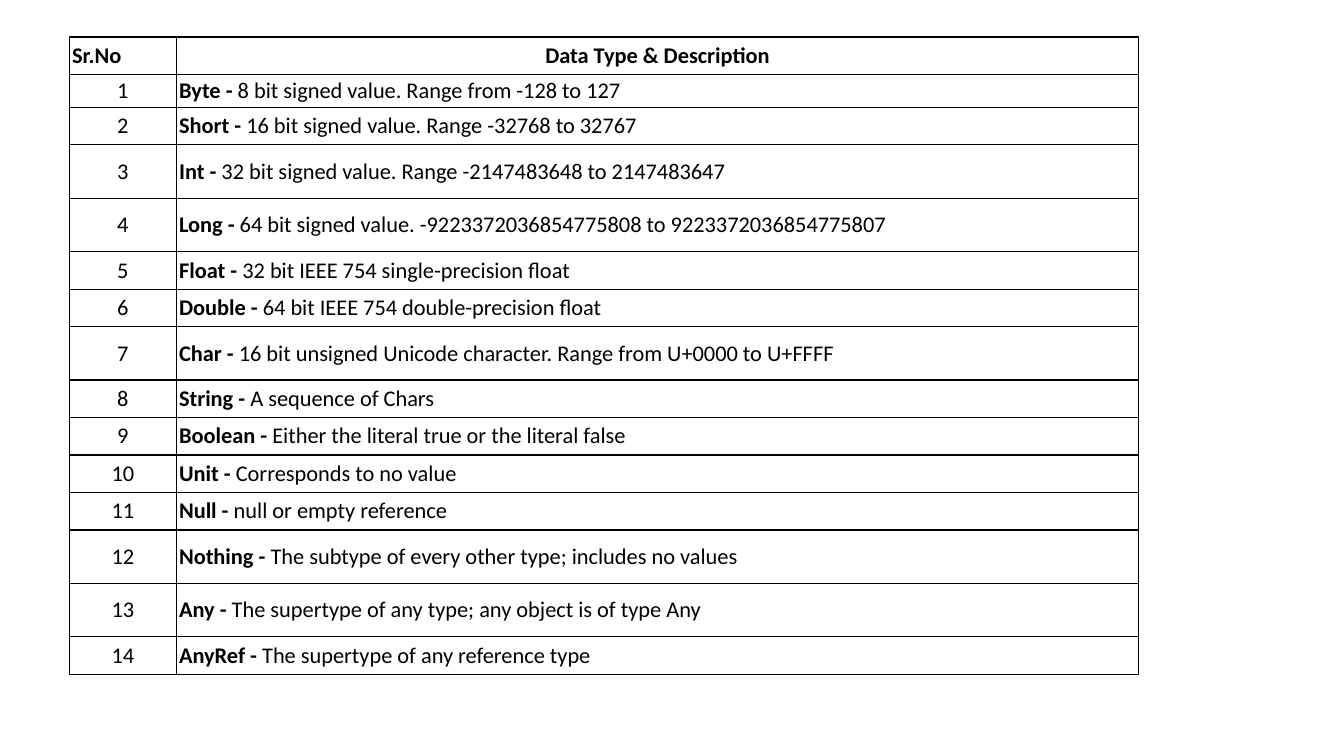
from lxml import etree
from pptx import Presentation, util as u
from pptx.dml.color import RGBColor
from pptx.enum import text
from pptx.oxml.ns import qn

PX = 914400 / 500  # 500 px to the inch
COLORS = {"ink": "000000"}
FONT = "Calibri"
COLS = [530, 4774]
BYTE_ROW, ROW, TALL_ROW = 130, 186, 265
INSET = 14
HEADER = ("Sr.No", "Data Type & Description")
TYPES = [
    ("Byte", "8 bit signed value. Range from -128 to 127", BYTE_ROW),
    ("Short", "16 bit signed value. Range -32768 to 32767", ROW),
    ("Int", "32 bit signed value. Range -2147483648 to 2147483647", TALL_ROW),
    ("Long", "64 bit signed value. -9223372036854775808 to 9223372036854775807", TALL_ROW),
    ("Float", "32 bit IEEE 754 single-precision float", ROW),
    ("Double", "64 bit IEEE 754 double-precision float", ROW),
    ("Char", "16 bit unsigned Unicode character. Range from U+0000 to U+FFFF", TALL_ROW),
    ("String", "A sequence of Chars", ROW),
    ("Boolean", "Either the literal true or the literal false", ROW),
    ("Unit", "Corresponds to no value", ROW),
    ("Null", "null or empty reference", ROW),
    ("Nothing", "The subtype of every other type; includes no values", TALL_ROW),
    ("Any", "The supertype of any type; any object is of type Any", TALL_ROW),
    ("AnyRef", "The supertype of any reference type", ROW),
]


def px(n):
    return u.Emu(round(n * PX))


def add_run(p, words, size=16, bold=False, color="ink"):
    r = p.add_run()
    r.text = words
    r.font.name = FONT
    r.font.size = u.Pt(size)
    r.font.bold = bold
    r.font.color.rgb = RGBColor.from_string(COLORS[color])


def set_borders(cell, width=1, color="ink"):
    tc_pr = cell._tc.get_or_add_tcPr()
    for side in ("lnL", "lnR", "lnT", "lnB"):
        ln = etree.SubElement(tc_pr, qn("a:" + side), w=str(u.Pt(width)))
        fill = etree.SubElement(ln, qn("a:solidFill"))
        etree.SubElement(fill, qn("a:srgbClr"), val=COLORS[color])


def fill_cell(cell, words, lead="", bold=False, centered=False):
    """Write a cell, with an optional bold lead before its words."""
    set_borders(cell)
    cell.fill.background()
    cell.margin_left = cell.margin_right = px(INSET)
    cell.margin_top = cell.margin_bottom = px(INSET)
    cell.vertical_anchor = text.MSO_ANCHOR.MIDDLE
    p = cell.text_frame.paragraphs[0]
    p.alignment = text.PP_ALIGN.CENTER if centered else text.PP_ALIGN.LEFT
    if lead:
        add_run(p, lead, bold=True)
    add_run(p, words, bold=bold)


def add_type_table(s, left, top):
    heights = [ROW] + [height for _, _, height in TYPES]
    frame = s.shapes.add_table(len(heights), len(COLS), px(left), px(top),
                               px(sum(COLS)), px(sum(heights)))
    table = frame.table
    table.first_row = table.horz_banding = False
    for col, width in zip(table.columns, COLS):
        col.width = px(width)
    for row, height in zip(table.rows, heights):
        row.height = px(height)

    fill_cell(table.cell(0, 0), HEADER[0], bold=True)
    fill_cell(table.cell(0, 1), HEADER[1], bold=True, centered=True)
    for i, (name, description, _) in enumerate(TYPES, 1):
        fill_cell(table.cell(i, 0), str(i), centered=True)
        fill_cell(table.cell(i, 1), description, lead=f"{name} - ")


def main():
    prs = Presentation()
    prs.slide_width, prs.slide_height = u.Inches(13.33), u.Inches(7.5)
    s = prs.slides.add_slide(prs.slide_layouts[6])
    add_type_table(s, 344, 183)
    prs.save("out.pptx")


if __name__ == "__main__":
    main()
